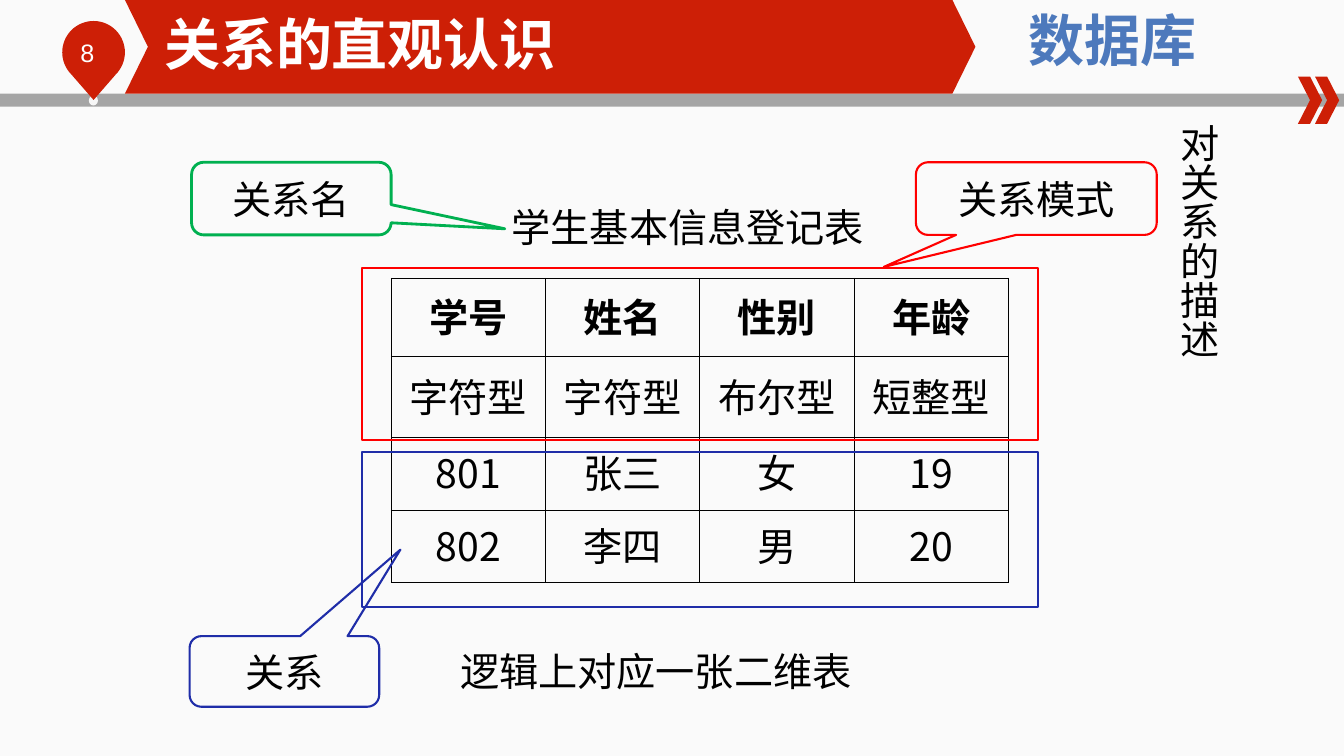
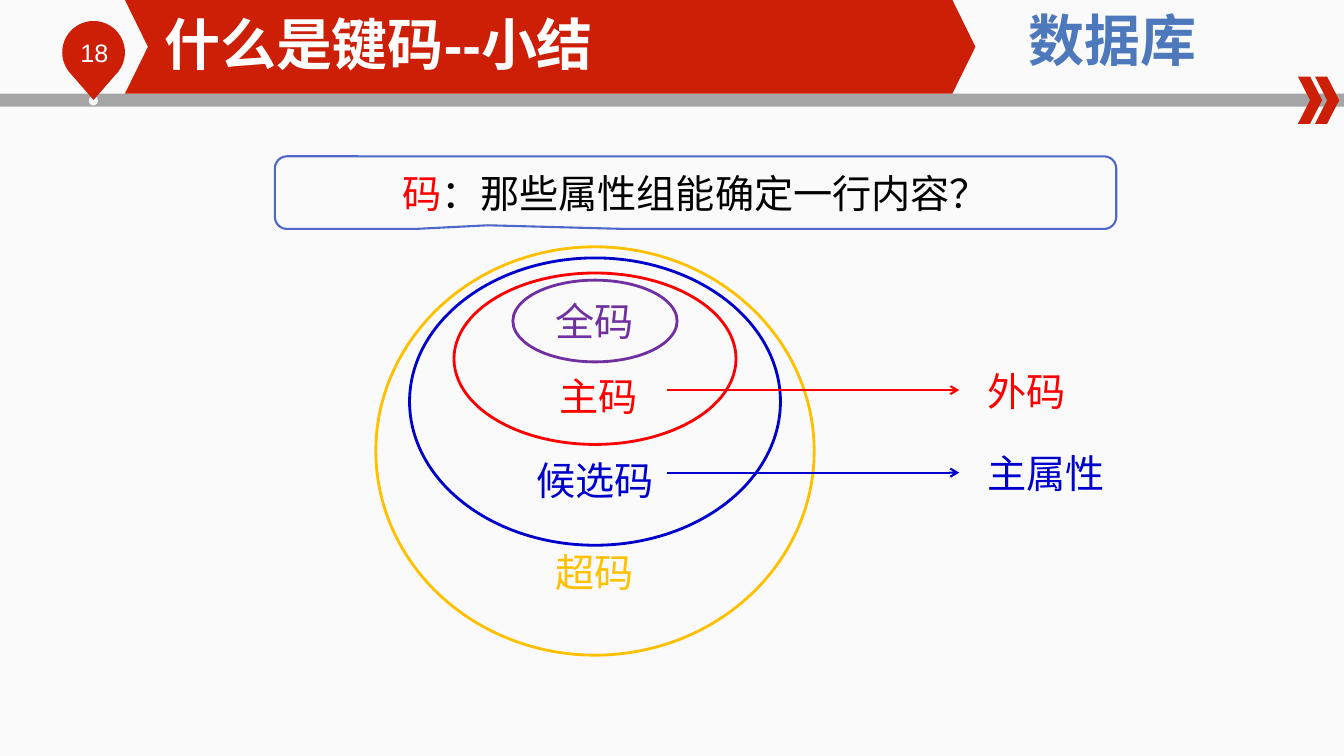
"""Build two database course slides on relations and keys."""
from dataclasses import dataclass
from math import cos, pi, sin

from lxml import etree
from pptx import Presentation
from pptx.dml.color import RGBColor
from pptx.enum.shapes import MSO_CONNECTOR, MSO_SHAPE
from pptx.enum.text import MSO_ANCHOR, PP_ALIGN
from pptx.oxml.ns import qn
from pptx.shapes.autoshape import Shape
from pptx.slide import Slide
from pptx.table import _Cell
from pptx.text.text import TextFrame, _Run
from pptx.util import Cm, Pt

RECT, OVAL = MSO_SHAPE.RECTANGLE, MSO_SHAPE.OVAL
CHEVRON, BUBBLE = MSO_SHAPE.CHEVRON, MSO_SHAPE.ROUNDED_RECTANGULAR_CALLOUT
STRAIGHT = MSO_CONNECTOR.STRAIGHT
TOP, MIDDLE, BOTTOM = MSO_ANCHOR.TOP, MSO_ANCHOR.MIDDLE, MSO_ANCHOR.BOTTOM
LEFT, CENTER = PP_ALIGN.LEFT, PP_ALIGN.CENTER

SANS, ARIAL, KARLA = "Noto Sans CJK SC", "Arial", "Karla"
BLACK, WHITE, BRAND = "000000", "FFFFFF", "CD1F06"
RED, BLUE, NAVY = "FF0000", "0000CC", "1F2DA8"
GREEN, PURPLE, GOLD, INDIGO = "00B050", "7030A0", "FFC000", "4E67C8"
WIDE, HIGH = 33.88, 19.05
INSET = (0.25, 0.13, 0.25, 0.13)
FLAT = (0, 0, 0, 0)

Box = tuple[float, float, float, float]
Words = list[tuple[str, str]]


@dataclass
class Style:
    size: int = 28
    font: str = SANS
    bold: bool = False
    align: PP_ALIGN = LEFT
    anchor: MSO_ANCHOR = TOP
    inset: Box = INSET
    wrap: bool = True


@dataclass
class Callout:
    words: Words
    box: Box
    hue: str
    adjust: tuple[float, float, float]
    width: float = 1.5


@dataclass
class Ring:
    text: str
    hue: str
    top: float
    wide: float
    high: float
    inset: Box = FLAT


@dataclass
class Link:
    text: str
    hue: str
    mid: float
    wide: float


MID = Style(align=CENTER, anchor=MIDDLE)
TITLE = Style(40, ARIAL, True, anchor=MIDDLE, inset=FLAT)

NOTES = [
    Callout([("关系模式", BLACK)], (23.09, 4.09, 6.07, 1.83), RED, (-0.634, 0.942, 0.167)),
    Callout([("关系名", BLACK)], (4.83, 4.09, 5.03, 1.83), GREEN, (1.07, 0.416, 0.167), 2),
    Callout([("关系", BLACK)], (4.78, 16.03, 4.78, 1.78), NAVY, (0.612, -1.725, 0.167)),
]
QUERY = Callout(
    [("码", RED), ("：那些属性组能确定一行内容？", BLACK)],
    (6.93, 3.94, 21.21, 1.83), INDIGO, (-0.247, 0.45, 0.167),
)
FRAMES = [((9.12, 6.76, 17.04, 4.34), RED), ((9.12, 11.4, 17.04, 3.89), NAVY)]
ROWS = [
    (1.98, ["学号", "姓名", "性别", "年龄"]),
    (2.03, ["字符型", "字符型", "布尔型", "短整型"]),
    (1.83, ["801", "张三", "女", "19"]),
    (1.83, ["802", "李四", "男", "20"]),
]
RINGS = [
    Ring("全码", PURPLE, 7.06, 4.14, 2.06, INSET),
    Ring("主码", RED, 6.88, 7.11, 4.32, (0.2, 0, 0, 0)),
    Ring("候选码", BLUE, 6.5, 9.35, 7.24),
    Ring("超码", GOLD, 6.22, 11.05, 10.29, (0.13, 0.13, 0.13, 0)),
]
LINKS = [Link("外码", RED, 9.83, 2.49), Link("主属性", BLUE, 11.91, 3.96)]


def color(code: str) -> RGBColor:
    """Turn a hex string into a colour."""
    return RGBColor.from_string(code)


def dress(run: _Run, hue: str, style: Style) -> None:
    """Give a run its font, with the East Asian face beside it."""
    font = run.font
    font.name, font.size, font.bold = style.font, Pt(style.size), style.bold
    font.color.rgb = color(hue)
    face = etree.SubElement(font._element, qn("a:ea"))
    face.set("typeface", SANS)


def write(frame: TextFrame, words: Words, style: Style) -> None:
    """Fill a text frame with one paragraph of coloured words."""
    frame.word_wrap = style.wrap
    frame.vertical_anchor = style.anchor
    frame.margin_left, frame.margin_top, frame.margin_right, frame.margin_bottom = map(Cm, style.inset)
    frame.text = words[0][0]
    para = frame.paragraphs[0]
    para.alignment = style.align
    for text, _ in words[1:]:
        para.add_run().text = text
    for run, (_, hue) in zip(para.runs, words):
        dress(run, hue, style)


def label(slide: Slide, text: str, box: Box, style: Style, hue: str = BLACK) -> TextFrame:
    """Place a text box."""
    frame = slide.shapes.add_textbox(*map(Cm, box)).text_frame
    write(frame, [(text, hue)], style)
    return frame


def paint(shape: Shape, hue: str) -> None:
    """Fill a shape and drop its outline and shadow."""
    shape.shadow.inherit = False
    shape.fill.solid()
    shape.fill.fore_color.rgb = color(hue)
    shape.line.fill.background()


def solid(slide: Slide, kind: MSO_SHAPE, box: Box, hue: str) -> Shape:
    """Place a filled shape."""
    shape = slide.shapes.add_shape(kind, *map(Cm, box))
    paint(shape, hue)
    return shape


def hollow(slide: Slide, kind: MSO_SHAPE, box: Box, hue: str, width: float) -> Shape:
    """Place an outlined shape without fill."""
    shape = slide.shapes.add_shape(kind, *map(Cm, box))
    shape.shadow.inherit = False
    shape.fill.background()
    shape.line.color.rgb = color(hue)
    shape.line.width = Pt(width)
    return shape


def bubble(slide: Slide, note: Callout) -> None:
    """Place a callout with centred text."""
    shape = hollow(slide, BUBBLE, note.box, note.hue, note.width)
    for index, value in enumerate(note.adjust):
        shape.adjustments[index] = value
    write(shape.text_frame, note.words, MID)


def pin(slide: Slide) -> None:
    """Draw the map pin behind the page number."""
    turns = [pi / 4 - pi * 1.5 * step / 48 for step in range(49)]
    points = [(Cm(2.36 + 0.79 * cos(turn)), Cm(1.32 + 0.79 * sin(turn))) for turn in turns]
    build = slide.shapes.build_freeform(Cm(2.36), Cm(2.52))
    build.add_line_segments(points, close=True)
    paint(build.convert_to_shape(), BRAND)


def arrow(slide: Slide, start: float, end: float, mid: float, hue: str) -> None:
    """Draw a level arrow."""
    line = slide.shapes.add_connector(STRAIGHT, Cm(start), Cm(mid), Cm(end), Cm(mid))
    line.line.color.rgb = color(hue)
    line.line.width = Pt(1.5)
    tail = etree.SubElement(line.line._get_or_add_ln(), qn("a:tailEnd"))
    tail.set("type", "arrow")
    etree.SubElement(line._element.spPr, qn("a:effectLst"))


def border(cell: _Cell) -> None:
    """Rule all four sides of a table cell in thin black."""
    props = cell._tc.get_or_add_tcPr()
    for index, side in enumerate(("lnL", "lnR", "lnT", "lnB")):
        line = etree.Element(qn(f"a:{side}"), w=str(Pt(0.5)))
        fill = etree.SubElement(line, qn("a:solidFill"))
        etree.SubElement(fill, qn("a:srgbClr"), val=BLACK)
        props.insert(index, line)


def grid(slide: Slide) -> None:
    """Place the student table."""
    high = sum(row[0] for row in ROWS)
    table = slide.shapes.add_table(4, 4, Cm(9.86), Cm(7.01), Cm(15.56), Cm(high)).table
    table.first_row = table.horz_banding = False
    for column in table.columns:
        column.width = Cm(3.89)
    for index, (size, texts) in enumerate(ROWS):
        table.rows[index].height = Cm(size)
        for place, text in enumerate(texts):
            cell = table.cell(index, place)
            cell.fill.background()
            border(cell)
            cell.vertical_anchor = MIDDLE
            cell.margin_left = cell.margin_right = cell.margin_top = Cm(0.03)
            cell.margin_bottom = Cm(0.13)
            cell.text = text
            para = cell.text_frame.paragraphs[0]
            para.alignment = CENTER
            font = SANS if text.isdigit() else ARIAL
            dress(para.runs[0], BLACK, Style(font=font, bold=index == 0))


def begin(deck: Presentation, title: str, page: int) -> Slide:
    """Add a slide with the shared band, pin, number and title."""
    slide = deck.slides.add_slide(deck.slide_layouts[6])
    solid(slide, RECT, (0, 2.36, WIDE, 0.33), "A5A5A5")
    solid(slide, OVAL, (2.24, 2.41, 0.23, 0.25), "F6F6F6")
    pin(slide)
    label(slide, str(page), (1.78, 0.81, 1.93, 1.02), Style(18, ARIAL), WHITE)
    for step in range(2):
        solid(slide, CHEVRON, (32.72 + 0.43 * step, 1.93, 0.61, 1.19), BRAND)
    band = solid(slide, CHEVRON, (3.15, 0, 21.44, 2.36), BRAND)
    band.adjustments[0] = 0.246
    label(slide, "数据库", (24.59, 0, 6.91, 1.96), Style(40, bold=True, align=CENTER), "4D79BC")
    label(slide, title, (4.14, 0.23, 16.79, 1.7), TITLE, WHITE)
    return slide


def relate(deck: Presentation) -> None:
    """Build the slide that shows a relation as a table."""
    slide = begin(deck, "关系的直观认识", 8)
    head = label(slide, "学生基本信息登记表", (12.65, 4.88, 9.93, 1.57), Style())
    head.paragraphs[0].line_spacing = Pt(37)
    grid(slide)
    for box, hue in FRAMES:
        hollow(slide, RECT, box, hue, 1.5)
    for note in NOTES:
        bubble(slide, note)
    label(slide, "逻辑上对应一张二维表", (11.35, 16.18, 11.27, 1.63), Style(font=KARLA))
    side = label(slide, "对关系的描述", (29.36, 3, 1.7, 6.17), Style(wrap=False))
    side._txBody.bodyPr.set("vert", "eaVert")


def review(deck: Presentation) -> None:
    """Build the slide that nests the kinds of key."""
    slide = begin(deck, "什么是键码--小结", 18)
    bubble(slide, QUERY)
    for ring in RINGS:
        box = (15 - ring.wide / 2, ring.top, ring.wide, ring.high)
        shape = hollow(slide, OVAL, box, ring.hue, 2)
        style = Style(align=CENTER, anchor=BOTTOM, inset=ring.inset)
        write(shape.text_frame, [(ring.text, ring.hue)], style)
    for link in LINKS:
        arrow(slide, 16.81, 24.18, link.mid, link.hue)
        box = (24.64, link.mid - 0.71, link.wide, 1.45)
        label(slide, link.text, box, Style(wrap=False), link.hue)


def main() -> None:
    """Set up the deck, build both slides and save."""
    deck = Presentation()
    deck.slide_width, deck.slide_height = Cm(WIDE), Cm(HIGH)
    fill = deck.slide_master.background.fill
    fill.gradient()
    fill.gradient_angle = 270
    for stop, hue in zip(fill.gradient_stops, ("FAFAFA", "FCFCFC")):
        stop.color.rgb = color(hue)
    relate(deck)
    review(deck)
    deck.save("out.pptx")


if __name__ == "__main__":
    main()
